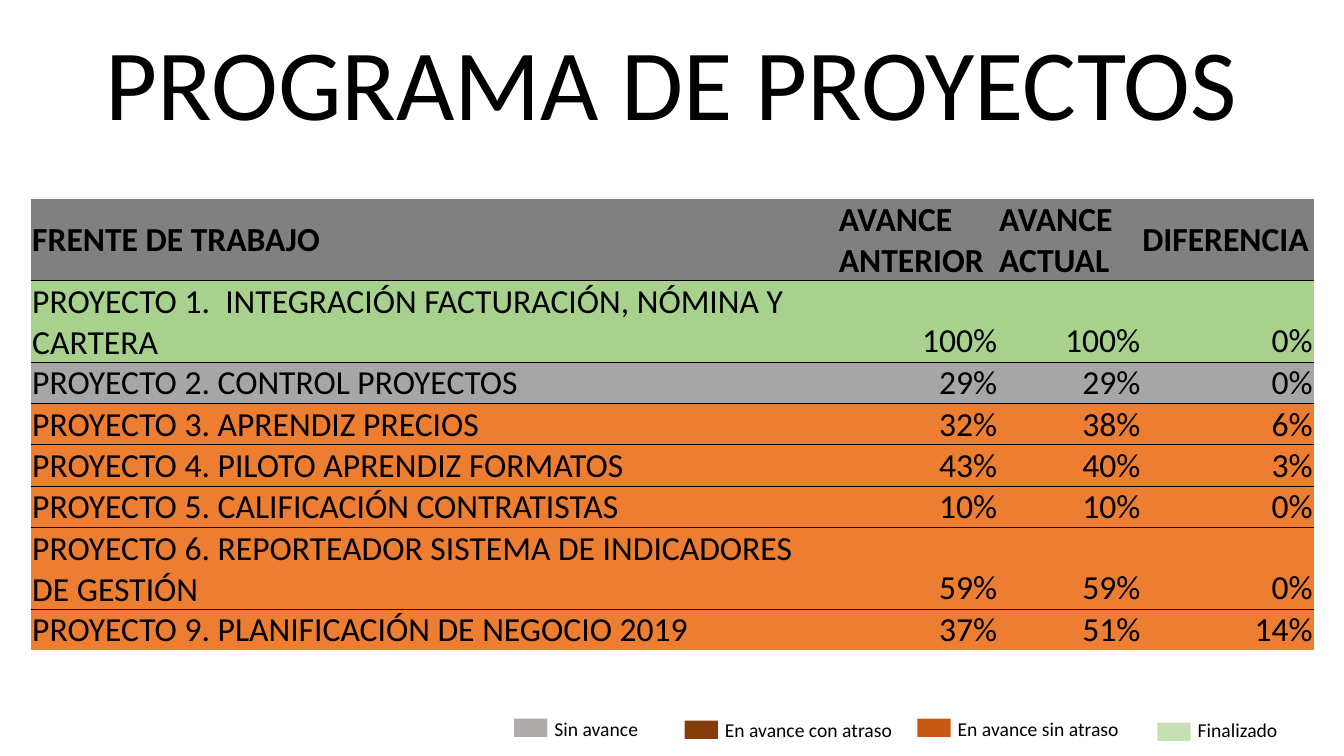
from dataclasses import dataclass

from lxml.etree import SubElement
from pptx import Presentation
from pptx.dml.color import RGBColor
from pptx.enum.shapes import MSO_SHAPE as Shape
from pptx.enum.text import MSO_ANCHOR as Anchor, PP_ALIGN as Align
from pptx.oxml.ns import qn
from pptx.slide import Slide
from pptx.table import _Cell as Cell
from pptx.text.text import _Paragraph as Paragraph
from pptx.util import Inches, Pt

FONT = "Calibri"
BLACK = "000000"
HEADER_GRAY = "808080"
FINISHED = "A9D18E"
NOT_STARTED = "A6A6A6"
IN_PROGRESS = "ED7D31"
LINE_HEIGHT = 0.41
TWO_LINE_HEIGHT = 0.81
COLUMN_WIDTHS = (8, 1.59, 1.42, 1.71)
HEADINGS = ("FRENTE DE TRABAJO", "AVANCE ANTERIOR", "AVANCE ACTUAL", "DIFERENCIA")


@dataclass(frozen=True)
class Project:
    name: str
    previous: int
    current: int
    difference: int
    fill: str = IN_PROGRESS
    height: float = LINE_HEIGHT


@dataclass(frozen=True)
class LegendEntry:
    label: str
    color: str
    left: float
    swatch_top: float
    label_top: float
    label_width: float = 1.93


PROJECTS = (
    Project("PROYECTO 1.  INTEGRACIÓN FACTURACIÓN, NÓMINA Y CARTERA",
            100, 100, 0, FINISHED, TWO_LINE_HEIGHT),
    Project("PROYECTO 2. CONTROL PROYECTOS", 29, 29, 0, NOT_STARTED),
    Project("PROYECTO 3. APRENDIZ PRECIOS", 32, 38, 6),
    Project("PROYECTO 4. PILOTO APRENDIZ FORMATOS", 43, 40, 3),
    Project("PROYECTO 5. CALIFICACIÓN CONTRATISTAS", 10, 10, 0),
    Project("PROYECTO 6. REPORTEADOR SISTEMA DE INDICADORES DE GESTIÓN",
            59, 59, 0, height=TWO_LINE_HEIGHT),
    Project("PROYECTO 9. PLANIFICACIÓN DE NEGOCIO 2019", 37, 51, 14),
)

LEGEND = (
    LegendEntry("Sin avance", "AFABAB", 5.1, 7.13, 7.06),
    LegendEntry("En avance con atraso", "843C0B", 6.79, 7.15, 7.07),
    LegendEntry("En avance sin atraso", "C65911", 9.1, 7.13, 7.06),
    LegendEntry("Finalizado", "C6E0B4", 11.48, 7.17, 7.07, 1.02),
)


def rgb(color: str) -> RGBColor:
    return RGBColor.from_string(color)


def style_text(paragraph: Paragraph, size: float, bold: bool = False) -> None:
    paragraph.font.name = FONT
    paragraph.font.size = Pt(size)
    paragraph.font.bold = bold
    paragraph.font.color.rgb = rgb(BLACK)


def add_label(slide: Slide, text: str, left: float, top: float, width: float,
              height: float, size: float, align: Align = Align.LEFT) -> None:
    frame = slide.shapes.add_textbox(
        Inches(left), Inches(top), Inches(width), Inches(height)).text_frame
    frame.word_wrap = True
    paragraph = frame.paragraphs[0]
    paragraph.text = text
    paragraph.alignment = align
    style_text(paragraph, size)


def set_borders(cell: Cell, top: bool, bottom: bool) -> None:
    properties = cell._tc.get_or_add_tcPr()
    for side, visible in (("L", False), ("R", False), ("T", top), ("B", bottom)):
        border = SubElement(properties, qn(f"a:ln{side}"), w=str(Pt(0.5)))
        if visible:
            fill = SubElement(border, qn("a:solidFill"))
            SubElement(fill, qn("a:srgbClr"), val=BLACK)
        else:
            SubElement(border, qn("a:noFill"))


def fill_cell(cell: Cell, text: str, fill: str, align: Align,
              is_header: bool, is_last: bool) -> None:
    set_borders(cell, top=not is_header, bottom=not is_last)
    cell.fill.solid()
    cell.fill.fore_color.rgb = rgb(fill)
    cell.margin_left = cell.margin_right = cell.margin_top = Inches(0.01)
    cell.margin_bottom = 0
    cell.vertical_anchor = Anchor.MIDDLE if is_header else Anchor.BOTTOM
    paragraph = cell.text_frame.paragraphs[0]
    paragraph.text = text
    paragraph.alignment = align
    style_text(paragraph, 24, is_header)


def add_progress_table(slide: Slide) -> None:
    heights = [TWO_LINE_HEIGHT] + [project.height for project in PROJECTS]
    table = slide.shapes.add_table(
        len(heights), len(HEADINGS), Inches(0.31), Inches(1.97),
        Inches(sum(COLUMN_WIDTHS)), Inches(sum(heights))).table
    table.first_row = table.horz_banding = False
    for column, width in zip(table.columns, COLUMN_WIDTHS):
        column.width = Inches(width)
    for row, height in zip(table.rows, heights):
        row.height = Inches(height)
    for column, heading in enumerate(HEADINGS):
        fill_cell(table.cell(0, column), heading, HEADER_GRAY, Align.LEFT, True, False)
    for row, project in enumerate(PROJECTS, start=1):
        progress = (project.previous, project.current, project.difference)
        texts = [project.name] + [f"{percent}%" for percent in progress]
        for column, text in enumerate(texts):
            align = Align.RIGHT if column else Align.LEFT
            fill_cell(table.cell(row, column), text, project.fill, align,
                      False, row == len(PROJECTS))


def add_legend_entry(slide: Slide, entry: LegendEntry) -> None:
    swatch = slide.shapes.add_shape(
        Shape.RECTANGLE, Inches(entry.left), Inches(entry.swatch_top),
        Inches(0.33), Inches(0.18))
    swatch.shadow.inherit = False
    swatch.fill.solid()
    swatch.fill.fore_color.rgb = rgb(entry.color)
    swatch.line.fill.background()
    add_label(slide, entry.label, entry.left + 0.3, entry.label_top,
              entry.label_width, 0.34, 14)


def main() -> None:
    presentation = Presentation()
    presentation.slide_width = Inches(13.33)
    presentation.slide_height = Inches(7.5)
    slide = presentation.slides.add_slide(presentation.slide_layouts[6])
    add_label(slide, "PROGRAMA DE PROYECTOS", 0.61, 0.15, 12.1, 1.31, 72, Align.CENTER)
    add_progress_table(slide)
    for entry in LEGEND:
        add_legend_entry(slide, entry)
    presentation.save("out.pptx")


if __name__ == "__main__":
    main()
